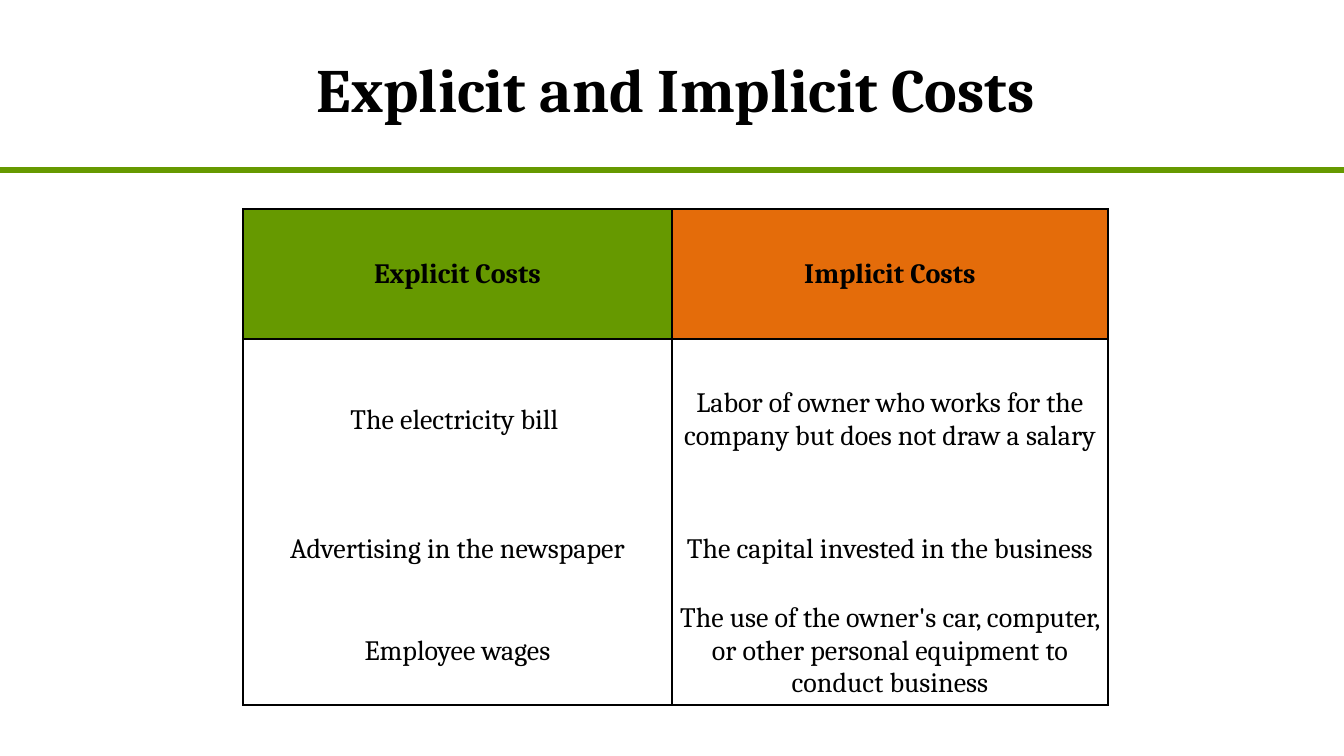
from dataclasses import dataclass

from lxml import etree
from pptx import Presentation
from pptx.dml.color import RGBColor
from pptx.enum.shapes import MSO_CONNECTOR
from pptx.enum.text import MSO_ANCHOR, PP_ALIGN
from pptx.oxml.ns import qn
from pptx.util import Pt

STRAIGHT = MSO_CONNECTOR.STRAIGHT
MIDDLE = MSO_ANCHOR.MIDDLE
CENTER = PP_ALIGN.CENTER
TITLE_ONLY = 5


@dataclass(frozen=True)
class Theme:
    font: str = "Cambria"
    text: str = "000000"
    green: str = "669900"
    orange: str = "E46C0A"
    white: str = "FFFFFF"
    title_size: int = 44
    table_size: int = 20
    rule_width: float = 4.5
    border_width: int = 1


theme = Theme()


def px(length):
    return round(length * 914400 / 100.8)


def format_text(text_frame, size, bold):
    text_frame.word_wrap = True
    text_frame.vertical_anchor = MIDDLE
    for paragraph in text_frame.paragraphs:
        paragraph.alignment = CENTER
        for run in paragraph.runs:
            run.font.name = theme.font
            run.font.size = Pt(size)
            run.font.bold = bold
            run.font.color.rgb = RGBColor.from_string(theme.text)


presentation = Presentation()
presentation.slide_width = px(1344)
presentation.slide_height = px(756)
slide = presentation.slides.add_slide(presentation.slide_layouts[TITLE_ONLY])

# Title
title = slide.shapes.title
title.left, title.top, title.width, title.height = px(119), px(4), px(1114), px(168)
title.text_frame.text = "Explicit and Implicit Costs"
format_text(title.text_frame, theme.title_size, True)

# Rule under the title
rule = slide.shapes.add_connector(STRAIGHT, 0, px(170), px(1344), px(170))
rule.line.color.rgb = RGBColor.from_string(theme.green)
rule.line.width = Pt(theme.rule_width)
etree.SubElement(rule._element.spPr, qn("a:effectLst"))

# Cost table
costs = [
    ("Explicit Costs", "Implicit Costs"),
    ("The electricity bill ",
     "Labor of owner who works for the company but does not draw a salary"),
    ("Advertising in the newspaper", "The capital invested in the business"),
    ("Employee wages",
     "The use of the owner's car, computer, or other personal equipment to conduct business"),
]
column_widths = [429, 436]
row_heights = [130, 162, 96, 108]
header_fills = [theme.green, theme.orange]
last_row = len(costs) - 1

table = slide.shapes.add_table(
    len(costs), len(column_widths), px(243), px(209),
    px(sum(column_widths)), px(sum(row_heights))).table
table.first_row = False
table.horz_banding = False
for column, width in zip(table.columns, column_widths):
    column.width = px(width)

for row_index, (row_texts, height) in enumerate(zip(costs, row_heights)):
    table.rows[row_index].height = px(height)
    is_header = row_index == 0
    # Body rows share one frame, with no lines between them
    bordered = {
        "lnL": True,
        "lnR": True,
        "lnT": row_index <= 1,
        "lnB": row_index in (0, last_row),
    }
    for column_index, text in enumerate(row_texts):
        cell = table.cell(row_index, column_index)
        cell.text_frame.text = text
        format_text(cell.text_frame, theme.table_size, is_header)
        cell.vertical_anchor = MIDDLE
        cell.margin_left = cell.margin_right = px(7)
        cell.margin_top = cell.margin_bottom = 0

        # Borders come before the fill in the cell properties
        properties = cell._tc.get_or_add_tcPr()
        for side, visible in bordered.items():
            border = etree.SubElement(properties, qn(f"a:{side}"))
            if visible:
                border.set("w", str(Pt(theme.border_width)))
                line_fill = etree.SubElement(border, qn("a:solidFill"))
                etree.SubElement(line_fill, qn("a:srgbClr"), val=theme.text)
            else:
                etree.SubElement(border, qn("a:noFill"))

        fill_color = header_fills[column_index] if is_header else theme.white
        cell.fill.solid()
        cell.fill.fore_color.rgb = RGBColor.from_string(fill_color)

presentation.save("out.pptx")
